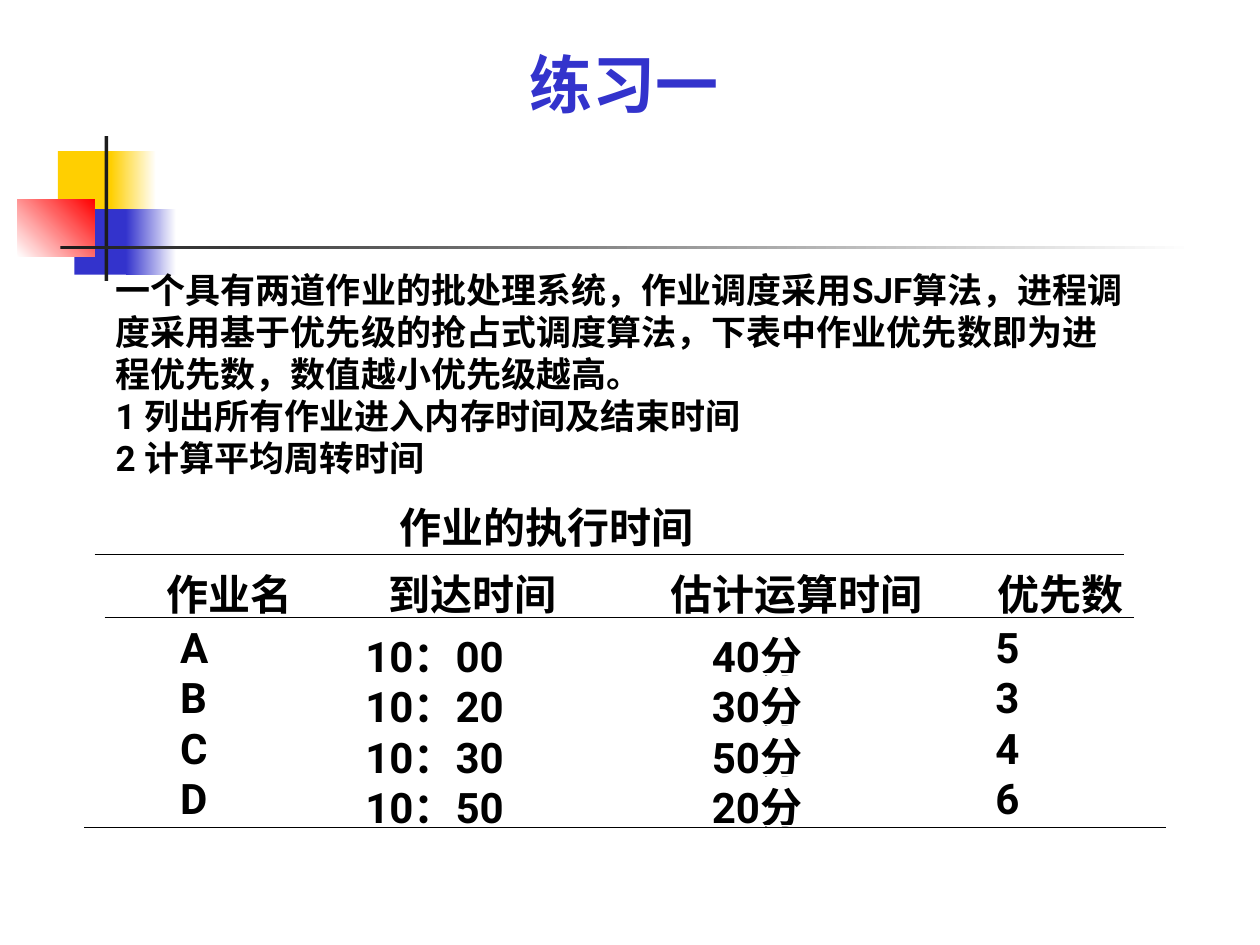
from dataclasses import dataclass

from lxml import etree
from pptx import Presentation
from pptx import util as u
from pptx.dml.color import RGBColor
from pptx.enum import shapes, text
from pptx.oxml.ns import qn


@dataclass(frozen=True)
class Theme:
    font: str = "Roboto"
    ink: str = "000000"
    paper: str = "FFFFFF"
    blue: str = "3333CC"
    yellow: str = "FFCF01"
    red: str = "FF0000"
    bar: str = "1C1C1C"
    title_size: int = 36
    table_size: int = 24
    body_size: int = 20
    rule_width: float = 0.75


class SlideBuilder:
    def __init__(self, slide, theme):
        self.slide = slide
        self.theme = theme

    def style(self, paragraph, size, color):
        paragraph.font.name = self.theme.font
        paragraph.font.size = u.Pt(size)
        paragraph.font.bold = True
        paragraph.font.color.rgb = RGBColor.from_string(color)

    def block(self, box, start, end=None, angle=0):
        block = self.slide.shapes.add_shape(
            shapes.MSO_SHAPE.RECTANGLE, *map(u.Inches, box))
        block.shadow.inherit = False
        block.line.fill.background()
        if end is None:
            block.fill.solid()
            block.fill.fore_color.rgb = RGBColor.from_string(start)
            return
        block.fill.gradient()
        block.fill.gradient_angle = angle
        for stop, position, color in zip(block.fill.gradient_stops, (0, 1), (start, end)):
            stop.position = position
            stop.color.rgb = RGBColor.from_string(color)

    def text(self, box, lines, size, color, wrap=True):
        frame = self.slide.shapes.add_textbox(*map(u.Inches, box)).text_frame
        frame.word_wrap = wrap
        frame.auto_size = text.MSO_AUTO_SIZE.SHAPE_TO_FIT_TEXT
        frame.text = "\n".join(lines)
        for paragraph in frame.paragraphs:
            self.style(paragraph, size, color)

    def rule(self, left, right, y):
        rule = self.slide.shapes.add_connector(
            shapes.MSO_CONNECTOR.STRAIGHT, *map(u.Inches, (left, y, right, y)))
        rule.line.width = u.Pt(self.theme.rule_width)
        rule.line.color.rgb = RGBColor.from_string(self.theme.ink)
        etree.SubElement(rule._element.spPr, qn("a:effectLst"))

    def table(self, left, top, widths, heights, rows, header_indents, body_indents):
        table = self.slide.shapes.add_table(
            len(rows), len(widths), u.Inches(left), u.Inches(top),
            u.Inches(sum(widths)), u.Inches(sum(heights))).table
        table.first_row = table.horz_banding = False
        for column, width in zip(table.columns, widths):
            column.width = u.Inches(width)
        for row, height in zip(table.rows, heights):
            row.height = u.Inches(height)
        for r, values in enumerate(rows):
            indents = body_indents if r else header_indents
            for c, value in enumerate(values):
                cell = table.cell(r, c)
                cell.fill.background()
                cell.margin_left = u.Inches(indents[c])
                cell.margin_right = cell.margin_top = cell.margin_bottom = 0
                cell.vertical_anchor = text.MSO_ANCHOR.MIDDLE
                cell.text = value
                self.style(cell.text_frame.paragraphs[0],
                           self.theme.table_size, self.theme.ink)


def main():
    theme = Theme()
    deck = Presentation()
    deck.slide_width, deck.slide_height = u.Inches(10), u.Inches(7.5)
    page = SlideBuilder(deck.slides.add_slide(deck.slide_layouts[6]), theme)

    page.block((0.46, 1.2, 0.48, 0.52), theme.yellow)
    page.block((0.88, 1.2, 0.36, 0.52), theme.yellow, theme.paper)
    page.block((0.59, 1.66, 0.46, 0.52), theme.blue)
    page.block((1, 1.66, 0.4, 0.52), theme.blue, theme.paper)
    page.block((0.14, 1.58, 0.61, 0.46), theme.paper, theme.red, angle=45)
    page.block((0.83, 1.08, 0.03, 1.15), theme.bar)
    page.block((0.48, 1.95, 9, 0.03), theme.bar, theme.paper)

    page.text((4.1, 0.31, 2.15, 0.7), ["练习一"], theme.title_size, theme.blue)
    page.text((0.82, 2.08, 8.24, 1.77), [
        "一个具有两道作业的批处理系统，作业调度采用SJF算法，进程调度采用基于优先级的"
        "抢占式调度算法，下表中作业优先数即为进程优先数，数值越小优先级越高。",
        "1 列出所有作业进入内存时间及结束时间",
        "2 计算平均周转时间",
    ], theme.body_size, theme.ink)

    page.text((3.07, 3.93, 2.53, 0.5), ["作业的执行时间"],
              theme.table_size, theme.ink, wrap=False)
    jobs = [
        ("作业名", "到达时间", "估计运算时间", "优先数"),
        ("A", "10：00", "40分", "5"),
        ("B", "10：20", "30分", "3"),
        ("C", "10：30", "50分", "4"),
        ("D", "10：50", "20分", "6"),
    ]
    page.table(1.32, 4.45, widths=(1.58, 2.42, 2.58, 1.12),
               heights=[0.5] + [0.4] * 4, rows=jobs,
               header_indents=(0, 0.18, 0, 0.02), body_indents=(0.11, 0, 0.33, 0))
    for left, right, y in ((0.75, 8.92, 4.4), (0.83, 9, 4.9), (0.67, 9.25, 6.57)):
        page.rule(left, right, y)

    deck.save("out.pptx")


if __name__ == "__main__":
    main()
